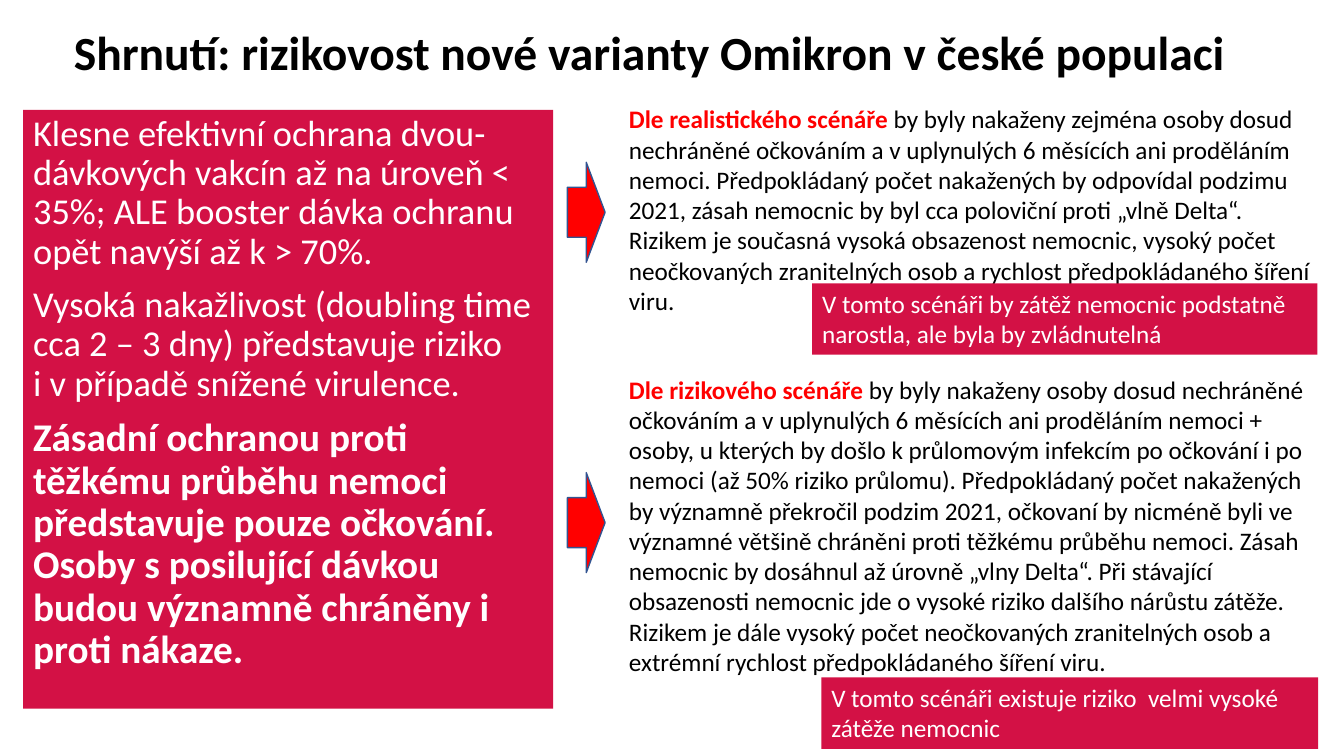
"""Build the slide that sums up the risk of the Omikron variant."""
from lxml.etree import SubElement
from pptx import Presentation
from pptx.dml.color import RGBColor as Rgb
from pptx.enum.shapes import MSO_SHAPE as Kind
from pptx.enum.text import MSO_ANCHOR as Anchor, MSO_AUTO_SIZE as Fit, PP_ALIGN as Align
from pptx.oxml.ns import qn
from pptx.util import Cm, Pt

HUES = {"red": "FF0000", "rose": "D31145", "blue": "325491", "white": "FFFFFF", "black": "000000"}
TITLE = "Shrnutí: rizikovost nové varianty Omikron v české populaci"
POINTS = [
    ("Klesne efektivní ochrana dvou-dávkových vakcín až na úroveň < 35%; ALE booster dávka "
     "ochranu opět navýší až k > 70%.", 26, False),
    ("Vysoká nakažlivost (doubling time cca 2 – 3 dny) představuje riziko\n"
     "i v případě snížené virulence.", 26, False),
    ("Zásadní ochranou proti těžkému průběhu nemoci představuje pouze očkování. Osoby "
     "s posilující dávkou budou významně chráněny i proti nákaze.", 28, True),
]
CASES = [
    ((15.6, 2.49, 17.7, 5.64), "Dle realistického scénáře ",
     "by byly nakaženy zejména osoby dosud nechráněné očkováním a v uplynulých 6 měsících ani "
     "proděláním nemoci. Předpokládaný počet nakažených by odpovídal podzimu 2021, zásah "
     "nemocnic by byl cca poloviční proti „vlně Delta“. Rizikem je současná vysoká obsazenost "
     "nemocnic, vysoký počet neočkovaných zranitelných osob a rychlost předpokládaného šíření "
     "viru."),
    ((15.6, 9.3, 17.7, 7.95), "Dle rizikového scénáře ",
     "by byly nakaženy osoby dosud nechráněné očkováním a v uplynulých 6 měsících ani "
     "proděláním nemoci + osoby, u kterých by došlo k průlomovým infekcím po očkování i po "
     "nemoci (až 50% riziko průlomu). Předpokládaný počet nakažených by významně překročil "
     "podzim 2021, očkovaní by nicméně byli ve významné většině chráněni proti těžkému průběhu "
     "nemoci. Zásah nemocnic by dosáhnul až úrovně „vlny Delta“. Při stávající obsazenosti "
     "nemocnic jde o vysoké riziko dalšího nárůstu zátěže. Rizikem je dále vysoký počet "
     "neočkovaných zranitelných osob a extrémní rychlost předpokládaného šíření viru."),
]
NOTES = [
    ((20.47, 7.14, 12.73, 1.8),
     "V tomto scénáři by zátěž nemocnic podstatně narostla, ale byla by zvládnutelná"),
    ((20.7, 17.07, 12.52, 1.8),
     "V tomto scénáři existuje riziko  velmi vysoké zátěže nemocnic"),
]
ARROWS = [4.09, 11.91]


def apply(item, **values):
    """Set each named value on the item."""
    for name, value in values.items():
        setattr(item, name, value)


def place(shape, box):
    """Move and size a shape, in centimetres."""
    apply(shape, **dict(zip(("left", "top", "width", "height"), map(Cm, box))))


def paint(fill, hue):
    """Give a solid colour to a fill."""
    fill.solid()
    fill.fore_color.rgb = Rgb.from_string(HUES[hue])


def frame(shape):
    """Return the wrapped, top-aligned text frame of a shape."""
    text = shape.text_frame
    apply(text, word_wrap=True, auto_size=Fit.NONE, vertical_anchor=Anchor.TOP)
    return text


def write(para, words, hue, size, bold=False):
    """Add words to a paragraph, with a line break at each newline."""
    for count, line in enumerate(words.split("\n")):
        if count:
            para.add_line_break()
        run = para.add_run()
        run.text = line
        apply(run.font, name="Calibri", size=Pt(size), bold=bold)
        paint(run.font.fill, hue)


def add_title(slide):
    """Fill the title placeholder."""
    title = slide.shapes.title
    place(title, (0.45, 0.61, 31.83, 3))
    para = frame(title).paragraphs[0]
    apply(para, alignment=Align.CENTER, line_spacing=0.9)
    write(para, TITLE, "black", 34, True)


def add_points(slide):
    """Fill the body placeholder with the main points."""
    body = slide.placeholders[1]
    place(body, (0.58, 2.77, 13.36, 15.09))
    paint(body.fill, "rose")
    text = frame(body)
    for count, (words, size, bold) in enumerate(POINTS):
        para = text.add_paragraph() if count else text.paragraphs[0]
        apply(para, line_spacing=0.9, space_before=Pt(10 if count else 0))
        props = para._p.get_or_add_pPr()
        props.set("marL", "0")
        props.set("indent", "0")
        SubElement(props, qn("a:buNone"))
        write(para, words, "white", size, bold)


def add_shape(slide, kind, box, hue):
    """Add a filled shape without a shadow or line."""
    shape = slide.shapes.add_shape(kind, *map(Cm, box))
    shape.shadow.inherit = False
    paint(shape.fill, hue)
    shape.line.fill.background()
    return shape


def add_arrow(slide, top):
    """Add a red arrow with a thin blue outline."""
    arrow = add_shape(slide, Kind.RIGHT_ARROW, (14.3, top, 0.95, 2.52), "red")
    paint(arrow.line.fill, "blue")
    arrow.line.width = Pt(1)


def add_case(slide, box, lead, words):
    """Add a scenario text that opens with a red lead."""
    para = frame(slide.shapes.add_textbox(*map(Cm, box))).paragraphs[0]
    write(para, lead, "red", 18, True)
    write(para, words, "black", 18)


def add_note(slide, box, words):
    """Add a coloured note that sums up a scenario."""
    para = frame(add_shape(slide, Kind.RECTANGLE, box, "rose")).paragraphs[0]
    para.alignment = Align.LEFT
    write(para, words, "white", 18)


def main():
    """Build and save the slide."""
    deck = Presentation()
    apply(deck, slide_width=Cm(33.87), slide_height=Cm(19.05))
    slide = deck.slides.add_slide(deck.slide_layouts[1])
    add_title(slide)
    add_points(slide)
    for top in ARROWS:
        add_arrow(slide, top)
    for case in CASES:
        add_case(slide, *case)
    for note in NOTES:
        add_note(slide, *note)
    deck.save("out.pptx")


if __name__ == "__main__":
    main()
